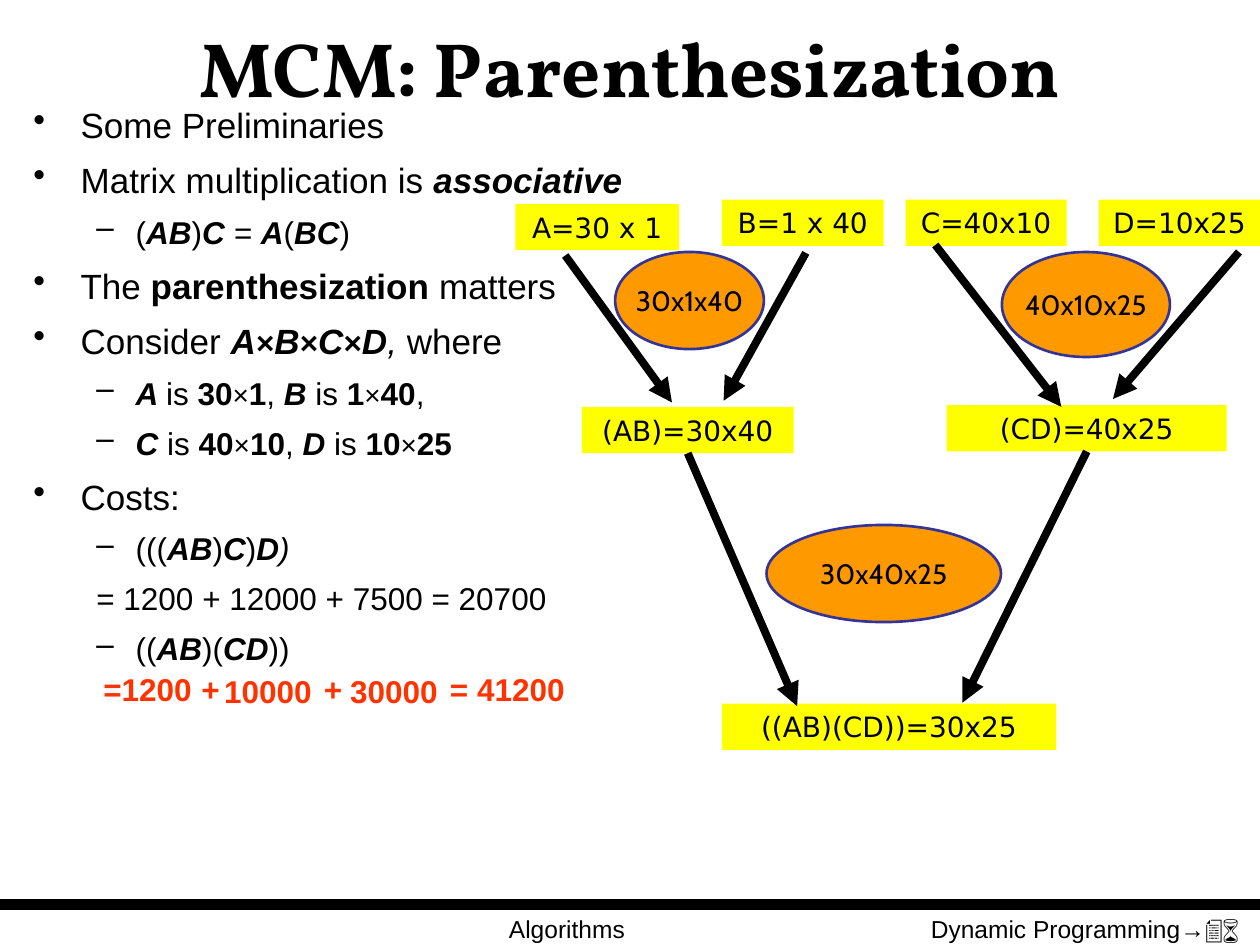
from lxml import etree
from pptx import Presentation
from pptx import util as u
from pptx.dml.color import RGBColor
from pptx.enum import shapes, text
from pptx.oxml import ns

Pt = u.Pt
BLACK = RGBColor(0, 0, 0)
WHITE = RGBColor(255, 255, 255)
YELLOW = RGBColor(255, 255, 0)
ORANGE = RGBColor(255, 153, 0)
NAVY = RGBColor(51, 51, 153)
RED = RGBColor(255, 51, 0)
LEFT, MID, RIGHT = text.PP_ALIGN.LEFT, text.PP_ALIGN.CENTER, text.PP_ALIGN.RIGHT

TITLE = "MCM: Parenthesization"
# Style letters: b bold, i italic, s two points smaller
LINES = [
    (0, "•", [("Some Preliminaries", "")]),
    (0, "•", [("Matrix multiplication is ", ""), ("associative", "bi")]),
    (1, "–", [("(", ""), ("AB", "bi"), (")", ""), ("C", "bi"), (" = ", "i"),
              ("A", "bi"), ("(", ""), ("BC", "bi"), (")", "")]),
    (0, "•", [("The", ""), (" parenthesization", "b"), (" matters", "")]),
    (0, "•", [("Consider ", ""), ("A", "bi"), ("×", "bs"), ("B", "bi"),
              ("×", "bs"), ("C", "bi"), ("×", "bs"), ("D", "bi"),
              (", ", "i"), ("where", "")]),
    (1, "–", [("A ", "bi"), ("is ", ""), ("30", "b"), ("×", "s"), ("1", "b"),
              (", ", ""), ("B ", "bi"), ("is ", ""), ("1", "b"), ("×", "s"),
              ("40", "b"), (",", "")]),
    (1, "–", [("C ", "bi"), ("is ", ""), ("40", "b"), ("×", "s"), ("10", "b"),
              (", ", ""), ("D ", "bi"), ("is ", ""), ("10", "b"), ("×", "s"),
              ("25", "b")]),
    (0, "•", [("Costs:", "")]),
    (1, "–", [("(((", ""), ("AB", "bi"), (")", ""), ("C", "bi"), (")", ""),
              ("D", "bi"), (")", "i")]),
    (1, "", [("= 1200 + 12000 + 7500 = 20700", "")]),
    (1, "–", [("((", ""), ("AB", "bi"), (")(", ""), ("CD", "bi"), ("))", "")]),
]
LEVELS = [(20, 27, -27, 12.5), (18, 58.5, -22.5, 11.25)]

NODES = {
    "A": ("A=30 x 1", 294.5, 116.5, 93.5),
    "B": ("B=1 x 40", 412.5, 114, 92.5),
    "C": ("C=40x10", 517.5, 114, 92),
    "D": ("D=10x25", 628, 114, 92),
    "AB": ("(AB)=30x40", 332.5, 232.5, 121),
    "CD": ("(CD)=40x25", 541, 231.5, 160),
    "ABCD": ("((AB)(CD))=30x25", 412.5, 402, 191),
}
NODE_H = 26.5
ARROWS = [
    (None, 323, 146, 384, 230),
    (None, 460.5, 144.5, 413.5, 229),
    (None, 534.5, 140, 606.5, 232.5),
    (None, 708, 144, 636, 228),
    ("AB", 390, 258, 455.5, 403.5),
    ("CD", 618, 258, 550, 401.5),
]
COSTS = [
    ("30x1x40", 351.5, 144, 85, 55.5),
    ("40x10x25", 572.5, 144, 96, 60),
    ("30x40x25", 438, 300, 134, 55.5),
]
SUM = [("=1200", 52, 379.5, 66), ("+", 108, 379.5, 24), ("10000", 121, 380.5, 66),
       ("+", 178, 379.5, 24), ("30000", 193, 380.5, 66), ("= 41200", 250, 379.5, 96)]
FOOT = [("Algorithms", 210, 228, MID), ("Dynamic Programming→📄⌛", 517, 198, RIGHT)]


def add_run(para, words, size, font, color=BLACK, style=""):
    run = para.add_run()
    run.text = words
    face = run.font
    face.size, face.name = Pt(size), font
    face.bold, face.italic = "b" in style, "i" in style
    face.color.rgb = color


def add_text(slide, box, words, size, align=LEFT, color=BLACK, style=""):
    frame = slide.shapes.add_textbox(*map(Pt, box)).text_frame
    frame.word_wrap = True
    para = frame.paragraphs[0]
    para.alignment = align
    add_run(para, words, size, "Arial", color, style)


def add_node(slide, kind, box, words, font, fill):
    node = slide.shapes.add_shape(kind, *map(Pt, box))
    node.shadow.inherit = False
    node.fill.solid()
    node.fill.fore_color.rgb = fill
    node.line.fill.background()
    frame = node.text_frame
    frame.vertical_anchor = text.MSO_ANCHOR.MIDDLE
    frame.word_wrap = False
    para = frame.paragraphs[0]
    para.alignment = MID
    add_run(para, words, 16, font)
    return node


def add_line(slide, ends, width):
    line = slide.shapes.add_connector(shapes.MSO_CONNECTOR.STRAIGHT, *map(Pt, ends))
    line.line.color.rgb = BLACK
    line.line.width = Pt(width)
    etree.SubElement(line._element.spPr, ns.qn("a:effectLst"))
    return line


def add_list(slide):
    frame = slide.shapes.add_textbox(Pt(12), Pt(60), Pt(354), Pt(447)).text_frame
    frame.word_wrap = True
    for num, (level, mark, runs) in enumerate(LINES):
        para = frame.add_paragraph() if num else frame.paragraphs[0]
        size, margin, indent, gap = LEVELS[level]
        para.level = level
        props = para._p.get_or_add_pPr()
        props.set("marL", str(Pt(margin)))
        props.set("indent", str(Pt(indent)))
        if mark:
            tint = etree.SubElement(props, ns.qn("a:buClr"))
            etree.SubElement(tint, ns.qn("a:srgbClr"), val=str(BLACK))
            etree.SubElement(props, ns.qn("a:buChar"), char=mark)
        else:
            etree.SubElement(props, ns.qn("a:buNone"))
        para.line_spacing = 0.8
        para.space_before = Pt(gap if num else 0)
        for words, style in runs:
            add_run(para, words, size - 2 * ("s" in style), "Arial", style=style)


def add_tree(slide):
    rects = {}
    for key, (words, left, top, width) in NODES.items():
        rects[key] = add_node(slide, shapes.MSO_SHAPE.RECTANGLE,
                              (left, top, width, NODE_H), words, "DejaVu Sans", YELLOW)
    for start, *ends in ARROWS:
        arrow = add_line(slide, ends, 4.5)
        if start:
            arrow.begin_connect(rects[start], 2)
        etree.SubElement(arrow.line._get_or_add_ln(), ns.qn("a:tailEnd"), type="triangle")
    for words, *box in COSTS:
        oval = add_node(slide, shapes.MSO_SHAPE.OVAL, box, words, "Cabin", ORANGE)
        oval.line.color.rgb = NAVY
        oval.line.width = Pt(1.5)


def main():
    deck = Presentation()
    deck.slide_width, deck.slide_height = Pt(720), Pt(540)
    slide = deck.slides.add_slide(deck.slide_layouts[5])
    slide.background.fill.solid()
    slide.background.fill.fore_color.rgb = WHITE

    title = slide.shapes.title
    title.left, title.top, title.width, title.height = map(Pt, (3.5, 5, 713, 66))
    title.text_frame.vertical_anchor = text.MSO_ANCHOR.MIDDLE
    para = title.text_frame.paragraphs[0]
    para.alignment = MID
    add_run(para, TITLE, 44, "Vollkorn", style="b")

    add_line(slide, (0, 517, 720, 517), 6)
    for words, left, width, align in FOOT:
        add_text(slide, (left, 518.5, width, 37.5), words, 14, align)
    add_list(slide)
    add_tree(slide)
    for words, left, top, width in SUM:
        add_text(slide, (left, top, width, 29), words, 18, color=RED, style="b")
    deck.save("out.pptx")


if __name__ == "__main__":
    main()
